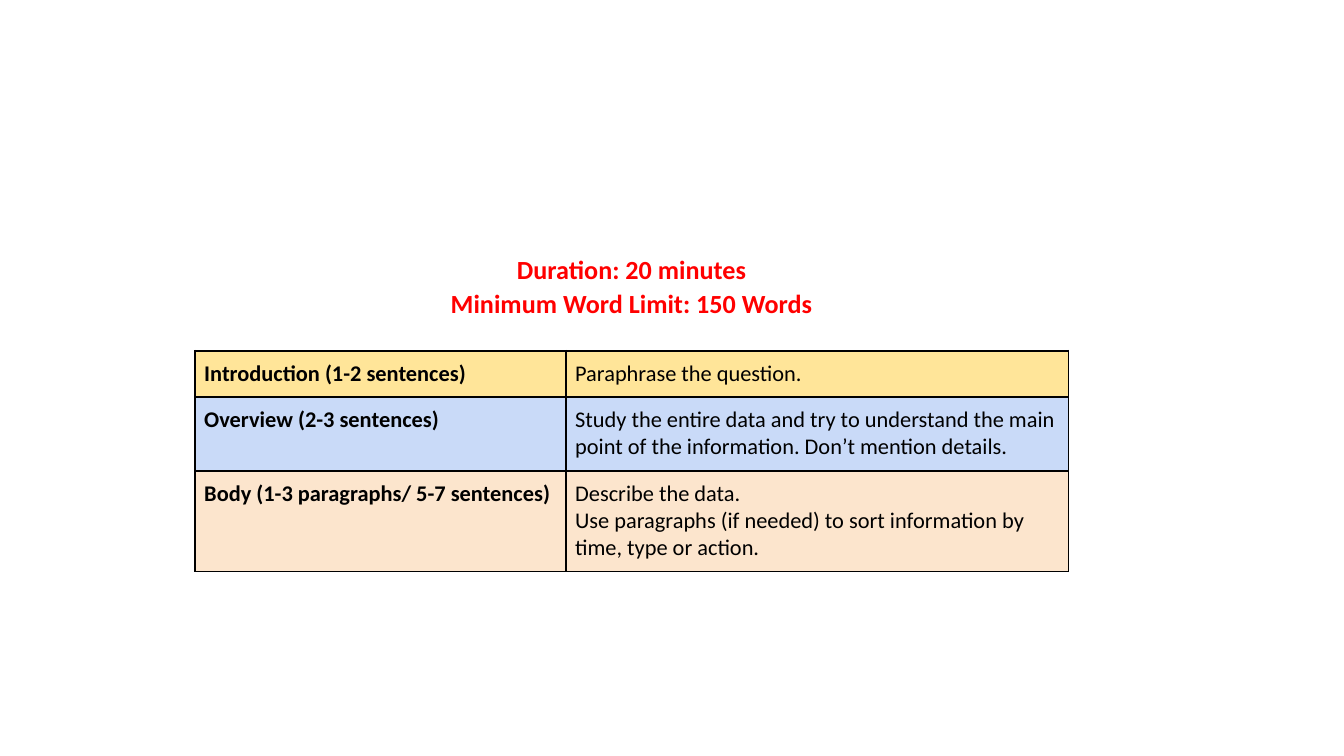
from lxml.etree import SubElement
from pptx import Presentation
from pptx.dml.color import RGBColor
from pptx.enum.text import MSO_ANCHOR, MSO_AUTO_SIZE, PP_ALIGN
from pptx.oxml.ns import qn
from pptx.util import Inches, Pt

FONT = "Calibri"
BLACK = RGBColor(0x00, 0x00, 0x00)
RED = RGBColor(0xFF, 0x00, 0x00)
YELLOW = RGBColor(0xFF, 0xE5, 0x99)
BLUE = RGBColor(0xC9, 0xDA, 0xF8)
PEACH = RGBColor(0xFC, 0xE5, 0xCD)

# Row height, fill, essay part, advice (\v is a line break)
ROWS = [
    (0.34, YELLOW, "Introduction (1-2 sentences)", "Paraphrase the question."),
    (0.55, BLUE, "Overview (2-3 sentences)",
     "Study the entire data and try to understand the main point of the "
     "information. Don’t mention details."),
    (0.75, PEACH, "Body (1-3 paragraphs/ 5-7 sentences)",
     "Describe the data. \vUse paragraphs (if needed) to sort information by "
     "time, type or action."),
]
COL_WIDTHS = (2.76, 3.74)


def set_font(p, size, color, bold):
    p.font.name = FONT
    p.font.size = Pt(size)
    p.font.bold = bold
    p.font.color.rgb = color


def set_margins(box, margin):
    box.margin_left = box.margin_right = Inches(margin)
    box.margin_top = box.margin_bottom = Inches(margin)


def add_borders(cell):
    tcPr = cell._tc.get_or_add_tcPr()
    for i, side in enumerate(("a:lnL", "a:lnR", "a:lnT", "a:lnB")):
        ln = tcPr.makeelement(qn(side), {"w": str(Pt(1))})
        fill = SubElement(ln, qn("a:solidFill"))
        SubElement(fill, qn("a:srgbClr"), val=str(BLACK))
        tcPr.insert(i, ln)  # borders come before the fill


def fill_cell(cell, text, fill, bold):
    cell.text = text
    set_margins(cell, 0.07)
    cell.fill.solid()
    cell.fill.fore_color.rgb = fill
    set_font(cell.text_frame.paragraphs[0], 12, BLACK, bold)
    add_borders(cell)


def add_title(slide, text):
    sp = slide.shapes.title
    sp.left, sp.top = Inches(3.06), Inches(0.48)
    sp.width = sp.height = Inches(3.28)
    tf = sp.text_frame
    tf.text = text
    tf.word_wrap = True
    tf.auto_size = MSO_AUTO_SIZE.NONE
    tf.vertical_anchor = MSO_ANCHOR.MIDDLE
    set_margins(tf, 0.1)
    p = tf.paragraphs[0]
    p.alignment = PP_ALIGN.CENTER
    p.line_spacing = 1.08
    set_font(p, 14, RED, True)


def add_structure_table(slide):
    heights = [row[0] for row in ROWS]
    table = slide.shapes.add_table(
        len(ROWS), len(COL_WIDTHS), Inches(1.45), Inches(2.61),
        Inches(sum(COL_WIDTHS)), Inches(sum(heights))).table
    table.first_row = table.horz_banding = False
    for col, width in zip(table.columns, COL_WIDTHS):
        col.width = Inches(width)
    for row, (height, fill, part, advice) in zip(table.rows, ROWS):
        row.height = Inches(height)
        fill_cell(row.cells[0], part, fill, True)
        fill_cell(row.cells[1], advice, fill, False)


def main():
    prs = Presentation()
    # Widescreen, 16:9
    prs.slide_width = Inches(10)
    prs.slide_height = Inches(10 * 9 / 16)
    slide = prs.slides.add_slide(prs.slide_layouts[5])  # Title Only

    # Essay structure
    add_structure_table(slide)
    # Time and word limits
    add_title(slide, "Duration: 20 minutes\vMinimum Word Limit: 150 Words")

    prs.save("out.pptx")


if __name__ == "__main__":
    main()
